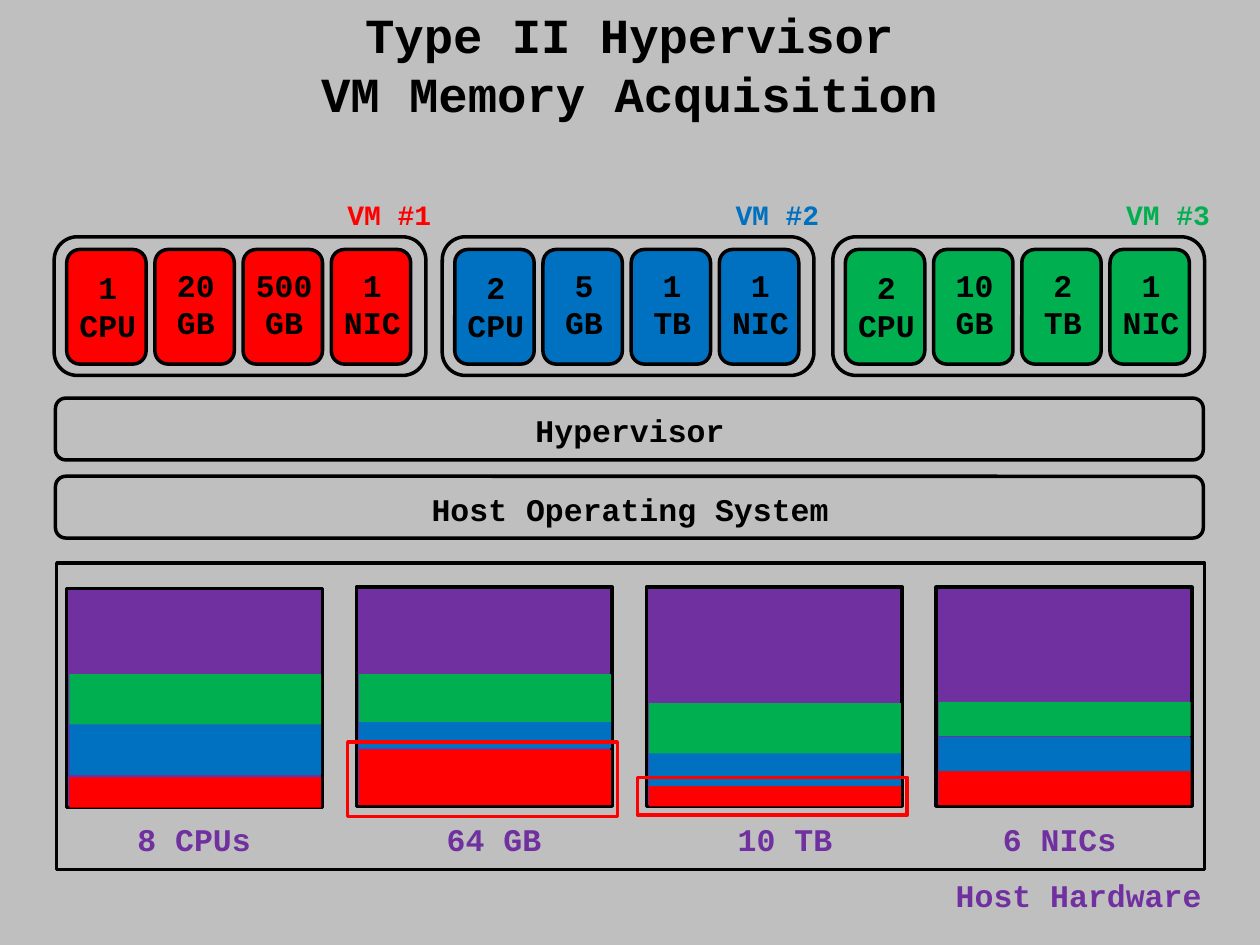
from pptx import Presentation
from pptx.dml.color import RGBColor
from pptx.enum.shapes import MSO_SHAPE
from pptx.enum.text import MSO_ANCHOR, MSO_AUTO_SIZE, PP_ALIGN
from pptx.util import Inches, Pt

RECT, ROUND = MSO_SHAPE.RECTANGLE, MSO_SHAPE.ROUNDED_RECTANGLE
CENTER, MIDDLE = PP_ALIGN.CENTER, MSO_ANCHOR.MIDDLE
NO_FIT = MSO_AUTO_SIZE.NONE

FONT = "Courier New"
BLACK, GRAY, PURPLE = "000000", "BFBFBF", "7030A0"
RED, BLUE, GREEN = "FF0000", "0070C0", "00B050"

TITLE = ["Type II Hypervisor", "VM Memory Acquisition"]

# name, colour, left, amounts of each resource
MACHINES = [
    ("VM #1", RED, 0.43, [("1", "CPU"), ("20", "GB"), ("500", "GB"), ("1", "NIC")]),
    ("VM #2", BLUE, 3.51, [("2", "CPU"), ("5", "GB"), ("1", "TB"), ("1", "NIC")]),
    ("VM #3", GREEN, 6.61, [("2", "CPU"), ("10", "GB"), ("2", "TB"), ("1", "NIC")]),
]

# name, top of bar, middle of label, top of label
LAYERS = [
    ("Hypervisor", 3.16, 5.0, 3.21),
    ("Host Operating System", 3.78, 5.0, 3.84),
]

# name, middle of label, top of block, (top, height) of red, blue and green share
RESOURCES = [
    ("8 CPUs", 1.54, 4.67, [(6.17, 0.24), (5.75, 0.4), (5.35, 0.4)]),
    ("64 GB", 3.92, 4.66, [(5.95, 0.44), (5.72, 0.22), (5.35, 0.38)]),
    ("10 TB", 6.23, 4.66, [(6.23, 0.17), (5.97, 0.27), (5.58, 0.4)]),
    ("6 NICs", 8.41, 4.66, [(6.12, 0.27), (5.85, 0.27), (5.57, 0.27)]),
]

# outlines around the memory and disk of VM #1
ACQUIRED = [(2.76, 5.89, 2.14, 0.59), (5.06, 6.17, 2.14, 0.3)]

CARD_WIDTH, CARD_STEP = 0.63, 0.7
BLOCK_LEFT, BLOCK_WIDTH, BLOCK_STEP = 0.53, 2.03, 2.3


def color(value):
    return RGBColor.from_string(value)


def write(frame, lines, size, ink):
    for index, line in enumerate(lines):
        para = frame.paragraphs[0] if index == 0 else frame.add_paragraph()
        para.alignment = CENTER
        span = para.add_run()
        span.text = line
        for name, value in {"name": FONT, "size": Pt(size), "bold": True}.items():
            setattr(span.font, name, value)
        span.font.color.rgb = color(ink)


def add_box(page, kind, left, top, width, height, fill=None, line=None):
    box = page.shapes.add_shape(
        kind, Inches(left), Inches(top), Inches(width), Inches(height))
    box.shadow.inherit = False
    if fill:
        box.fill.solid()
        box.fill.fore_color.rgb = color(fill)
    else:
        box.fill.background()
    if line:
        box.line.color.rgb = color(line)
        box.line.width = Pt(2)
    else:
        box.line.fill.background()


def add_label(page, lines, middle, top, ink, size=18):
    """Centre lines on a horizontal middle; Courier letters are 0.6 em wide."""
    width = max(map(len, lines)) * 0.6 * size / 72 + 0.2
    height = len(lines) * 1.2 * size / 72 + 0.1
    label = page.shapes.add_textbox(
        Inches(middle - width / 2), Inches(top), Inches(width), Inches(height))
    label.text_frame.word_wrap = False
    write(label.text_frame, lines, size, ink)


def add_title(page):
    title = page.shapes.title
    place = {"left": 1.26, "top": 0.12, "width": 7.47, "height": 0.77}
    for name, value in place.items():
        setattr(title, name, Inches(value))
    frame = title.text_frame
    for name, value in {"auto_size": NO_FIT, "vertical_anchor": MIDDLE,
                        "word_wrap": True}.items():
        setattr(frame, name, value)
    write(frame, TITLE, 28, BLACK)


def add_machine(page, name, fill, left, amounts):
    add_box(page, ROUND, left, 1.88, 2.95, 1.1, line=BLACK)
    add_label(page, [name], left + 2.66, 1.52, fill, size=16)
    for index, amount in enumerate(amounts):
        card_left = left + 0.1 + index * CARD_STEP
        add_box(page, ROUND, card_left, 1.98, CARD_WIDTH, 0.91, fill, BLACK)
        label_top = 2.08 if amount[1] == "CPU" else 2.06
        add_label(page, amount, card_left + CARD_WIDTH / 2 + 0.01, label_top, BLACK)


def add_resource(page, index, name, middle, top, shares):
    left = BLOCK_LEFT + index * BLOCK_STEP
    add_box(page, RECT, left, top, BLOCK_WIDTH, 1.74, PURPLE, BLACK)
    for fill, (share_top, height) in zip((RED, BLUE, GREEN), shares):
        add_box(page, RECT, left + 0.02, share_top, BLOCK_WIDTH - 0.03, height, fill)
    add_label(page, [name], middle, 6.46, PURPLE)


def main():
    deck = Presentation()
    deck.slide_width, deck.slide_height = Inches(10), Inches(7.5)
    page = deck.slides.add_slide(deck.slide_layouts[5])
    page.background.fill.solid()
    page.background.fill.fore_color.rgb = color(GRAY)

    add_title(page)
    for machine in MACHINES:
        add_machine(page, *machine)
    for name, top, middle, label_top in LAYERS:
        add_box(page, ROUND, 0.44, top, 9.11, 0.49, line=BLACK)
        add_label(page, [name], middle, label_top, BLACK)

    add_box(page, RECT, 0.45, 4.47, 9.11, 2.43, line=BLACK)
    add_label(page, ["Host Hardware"], 8.56, 6.9, PURPLE)
    for index, resource in enumerate(RESOURCES):
        add_resource(page, index, *resource)
    for outline in ACQUIRED:
        add_box(page, RECT, *outline, line=RED)

    deck.save("out.pptx")


if __name__ == "__main__":
    main()
